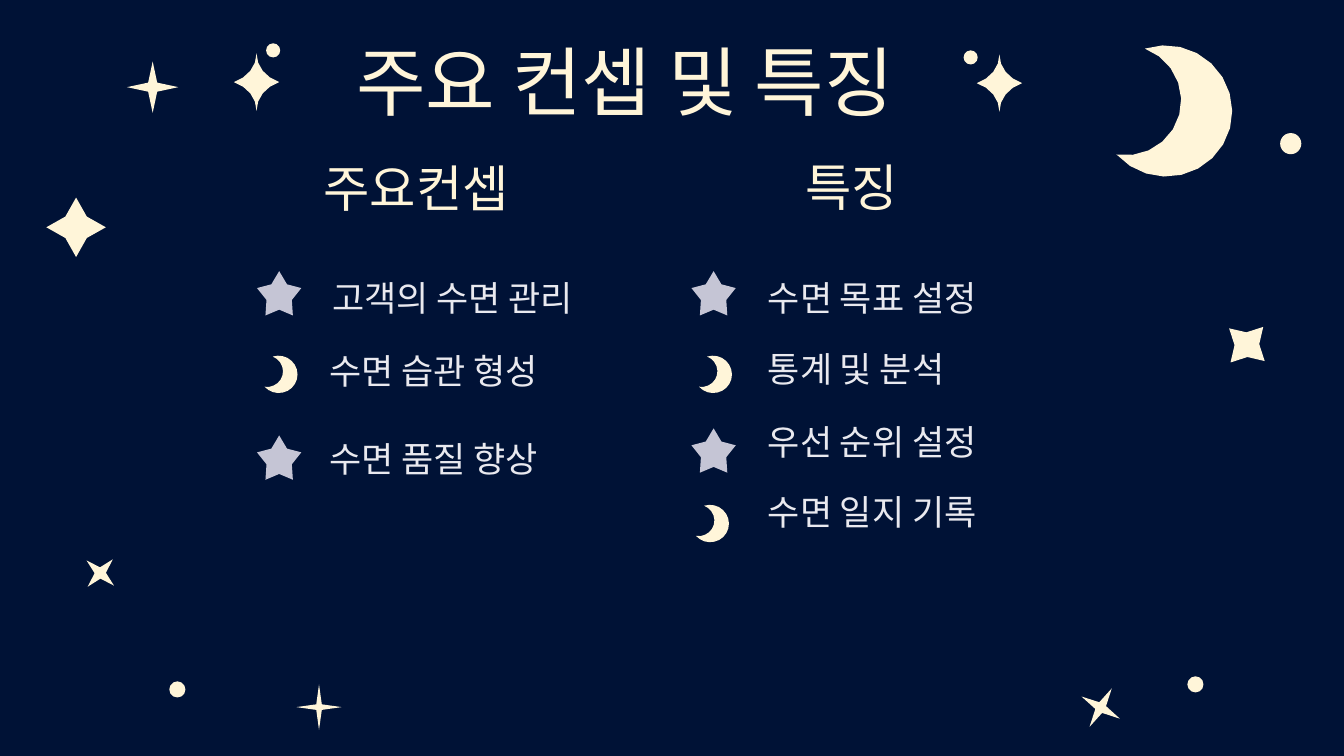
from math import asin, cos, pi, sin

from lxml import etree
from pptx import Presentation
from pptx.dml.color import RGBColor
from pptx.enum.shapes import MSO_SHAPE
from pptx.enum.text import MSO_AUTO_SIZE, PP_ALIGN
from pptx.oxml.ns import qn
from pptx.util import Inches, Pt

NIGHT = RGBColor(0x00, 0x12, 0x36)
CREAM = RGBColor(0xFF, 0xF5, 0xD9)
SILVER = RGBColor(0xC5, 0xC5, 0xD5)
MIST = RGBColor(0xE9, 0xE9, 0xEF)
FONT = "Noto Sans CJK KR"
RECT = MSO_SHAPE.RECTANGLE
DOT = MSO_SHAPE.FLOWCHART_CONNECTOR
STAR4 = MSO_SHAPE.STAR_4_POINT
STAR5 = MSO_SHAPE.STAR_5_POINT
CENTER, LEFT = PP_ALIGN.CENTER, PP_ALIGN.LEFT
FIT = MSO_AUTO_SIZE.SHAPE_TO_FIT_TEXT

TITLE = {"size": Pt(54), "color": CREAM, "align": CENTER}
HEADING = {"size": Pt(36), "color": CREAM, "align": CENTER}
ITEM = {"size": Pt(25), "color": MIST, "align": LEFT}

DOTS = [(12.7, 1.32, 0.21), (1.68, 6.76, 0.16), (11.78, 6.71, 0.16),
        (2.64, 0.43, 0.14), (9.56, 0.5, 0.14)]
FOUR_POINT_STARS = [
    (0.46, 1.96, 0.59, 0, 0.255),
    (12.13, 3.18, 0.48, 42.6, 0.255),
    (10.7, 6.8, 0.44, 30, 0.125),
    (0.81, 5.5, 0.37, 42.6, 0.151),
    (2.94, 6.79, 0.45, 0, 0.086),
    (1.26, 0.61, 0.51, 0, 0.125),
]
FIVE_POINT_STARS = [(2.55, 2.69), (2.55, 4.32), (6.86, 2.69), (6.86, 4.25)]
SPARKLES = [(2.32, 0.53), (9.69, 0.54)]
MOONS = [(11.2, 0.49, 1.3), (2.66, 3.54, 0.37), (6.97, 3.54, 0.37), (6.94, 5.02, 0.37)]
ITEMS = [
    ("고객의 수면 관리", 3.2, 2.69),
    ("수면 습관 형성", 3.17, 3.42),
    ("수면 품질 향상", 3.17, 4.29),
    ("수면 목표 설정", 7.52, 2.69),
    ("통계 및 분석", 7.52, 3.4),
    ("우선 순위 설정", 7.52, 4.12),
    ("수면 일지 기록", 7.52, 4.82),
]


def paint(sp, color, rotation=0):
    """Give a shape a flat fill and a rotation."""
    sp.shadow.inherit = False
    sp.fill.solid()
    sp.fill.fore_color.rgb = color
    sp.line.fill.background()
    sp.rotation = rotation


def add_preset(s, kind, x, y, size, color=CREAM, rotation=0, adj=None):
    """Add a square preset shape."""
    sp = s.shapes.add_shape(kind, Inches(x), Inches(y), Inches(size), Inches(size))
    if adj is not None:
        sp.adjustments[0] = adj
    paint(sp, color, rotation)


def add_outline(s, points, x, y, width, height, rotation=0):
    """Add a closed outline, given in unit lengths, fitted to a box."""
    start, *rest = [(Inches(px), Inches(py)) for px, py in points]
    builder = s.shapes.build_freeform(*start)
    builder.add_line_segments(rest, close=True)
    sp = builder.convert_to_shape()
    box = {"left": x, "top": y, "width": width, "height": height}
    for name, value in box.items():
        setattr(sp, name, Inches(value))
    paint(sp, CREAM, rotation)


def arc(cx, radius, start, end, steps):
    """Return points along a circle centred on the horizontal axis."""
    angles = [start + (end - start) * i / steps for i in range(steps + 1)]
    return [(cx + radius * cos(a), radius * sin(a)) for a in angles]


def add_moon(s, x, y, height):
    """Add a tilted crescent bounded by an outer and an inner arc."""
    outer, inner, tip = 0.5, 0.42, 0.418
    outer_end = pi - asin(tip / outer)
    inner_end = asin(tip / inner)
    outer_x = -outer * cos(outer_end)
    inner_x = -inner * cos(inner_end)
    points = (arc(outer_x, outer, -outer_end, outer_end, 16)
              + arc(inner_x, inner, inner_end, -inner_end, 10)[1:-1])
    add_outline(s, points, x, y, height * 0.785, height, 15)


def add_sparkle(s, x, y, width=0.45, height=0.57, steps=4):
    """Add a four-tipped sparkle with inward curved sides."""
    quarter = []
    for i in range(steps):
        t = i / steps
        u = 1 - t
        quarter.append((width / 2 * (1.2 * u * t * t + t ** 3),
                        -height / 2 * (u ** 3 + 1.65 * u * u * t + 0.48 * u * t * t)))
    side = quarter + [(width / 2, 0)] + [(px, -py) for px, py in quarter[::-1]]
    points = side + [(-px, py) for px, py in side[-2:0:-1]]
    add_outline(s, points, x, y, width, height)


def add_text(s, text, x, y, width, height, style):
    """Add a one-line text box."""
    tf = s.shapes.add_textbox(Inches(x), Inches(y), Inches(width), Inches(height)).text_frame
    tf.word_wrap = True
    tf.auto_size = FIT
    p = tf.paragraphs[0]
    p.alignment = style["align"]
    r = p.add_run()
    r.text = text
    r.font.color.rgb = style["color"]
    for name, value in {"size": style["size"], "name": FONT}.items():
        setattr(r.font, name, value)
    etree.SubElement(r.font._element, qn("a:ea"), typeface=FONT)


def main():
    """Build the night sky slide."""
    prs = Presentation()
    prs.slide_width, prs.slide_height = Inches(40 / 3), Inches(7.5)
    s = prs.slides.add_slide(prs.slide_layouts[6])
    paint(s.shapes.add_shape(RECT, 0, 0, prs.slide_width, prs.slide_height), NIGHT)

    for x, y, size in DOTS:
        add_preset(s, DOT, x, y, size)
    for x, y, size, rotation, adj in FOUR_POINT_STARS:
        add_preset(s, STAR4, x, y, size, rotation=rotation, adj=adj)
    for x, y in FIVE_POINT_STARS:
        add_preset(s, STAR5, x, y, 0.44, SILVER, adj=0.286)
    for x, y in SPARKLES:
        add_sparkle(s, x, y)
    for moon in MOONS:
        add_moon(s, *moon)

    add_text(s, "주요 컨셉 및 특징", 2.48, 0.3, 7.44, 1.01, TITLE)
    add_text(s, "주요컨셉", 2.48, 1.51, 3.3, 0.71, HEADING)
    add_text(s, "특징", 6.8, 1.5, 3.3, 0.71, HEADING)
    for text, x, y in ITEMS:
        add_text(s, text, x, y, 3.17, 0.54, ITEM)
    prs.save("out.pptx")


if __name__ == "__main__":
    main()
